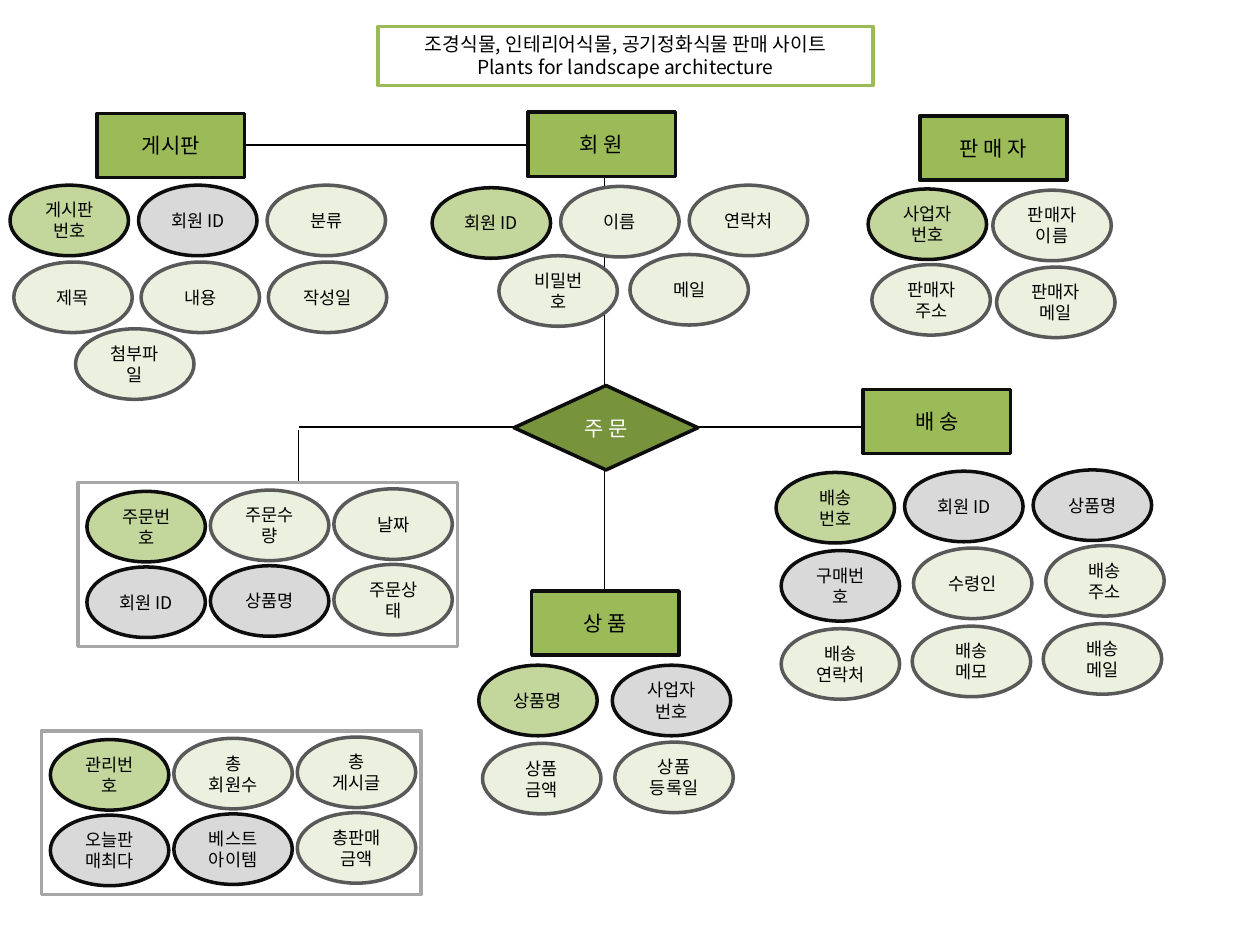
"""Build the entity-relationship slide for a plant shop site."""
from pptx import Presentation
from pptx.dml.color import RGBColor
from pptx.enum.shapes import MSO_CONNECTOR as Connector, MSO_SHAPE as Shape
from pptx.enum.text import MSO_ANCHOR as Anchor, MSO_AUTO_SIZE as AutoSize, PP_ALIGN as Align
from pptx.oxml.ns import qn
from pptx.util import Inches, Pt

THEME = {
    "font": "Noto Sans CJK KR",
    "border": 2,
    "wire": ("000000", 0.75),
    "banner": {"fill": "FFFFFF", "line": "9BBB59", "size": 11, "ink": "000000"},
    "frame": {"fill": "FFFFFF", "line": "A6A6A6", "size": 10, "ink": "000000"},
    "entity": {"fill": "9BBB59", "line": "0D0D0D", "size": 12, "ink": "000000"},
    "relation": {"fill": "77933C", "line": "0D0D0D", "size": 12, "ink": "FFFFFF"},
    "key": {"fill": "C3D69B", "line": "0D0D0D", "size": 10, "ink": "000000"},
    "foreign": {"fill": "D9D9D9", "line": "0D0D0D", "size": 10, "ink": "000000"},
    "plain": {"fill": "EBF1DE", "line": "595959", "size": 10, "ink": "000000"},
}
MARKS = {"*": "key", "+": "foreign"}
ENTITY_SIZE = (1.17, 0.51)
OVAL_SIZE = (0.94, 0.56)
FRAME_SIZE = (3.01, 1.3)
FRAME_PADDING = (0.07, 0.07)
FRAME_STEP = (0.98, 0.6)

BANNER = "조경식물, 인테리어식물, 공기정화식물 판매 사이트\nPlants for landscape architecture"
WIRES = [
    (7.28, 3.39, 2.37, 3.39),
    (5.33, 1.15, 1.68, 1.15),
    (4.8, 1.15, 4.8, 4.88),
    (2.37, 3.41, 2.37, 3.83),
]
ENTITIES = [
    ("게시판", 0.77, 0.9),
    ("회 원", 4.19, 0.89),
    ("판 매 자", 7.3, 0.92),
    ("배 송", 6.85, 3.09),
    ("상 품", 4.22, 4.69),
]
# Each row: left, top, step across, step down, attributes (* key, + foreign key)
ATTRIBUTE_ROWS = [
    (0.08, 1.47, 1.02, 0, ["*게시판번호", "+회원 ID", "분류"]),
    (0.11, 2.08, 1.01, 0, ["제목", "내용", "작성일"]),
    (0.6, 2.61, 0, 0, ["첨부파일"]),
    (3.43, 1.49, 1.02, -0.01, ["*회원 ID", "이름", "연락처"]),
    (3.96, 2.03, 1.04, -0.01, ["비밀번호", "메일"]),
    (6.89, 1.5, 0.99, 0.01, ["*사업자 번호", "판매자 이름"]),
    (6.92, 2.1, 0.99, 0.02, ["판매자 주소", "판매자 메일"]),
    (6.16, 3.75, 1.02, -0.01, ["*배송\n번호", "+회원 ID", "+상품명"]),
    (6.2, 4.37, 1.05, -0.02, ["+구매번호", "수령인", "배송\n주소"]),
    (6.2, 4.99, 1.04, -0.02, ["배송\n연락처", "배송\n메모", "배송\n메일"]),
    (3.8, 5.28, 1.06, 0, ["*상품명", "+사업자 번호"]),
    (3.83, 5.9, 1.05, -0.01, ["상품\n금액", "상품\n등록일"]),
]
FRAMES = [
    (0.62, 3.83, [["*주문번호", "주문수량", "날짜"], ["+회원 ID", "+상품명", "주문상태"]]),
    (0.33, 5.8, [["*관리번호", "총\n회원수", "총\n게시글"],
                 ["+오늘판매최다", "+베스트아이템", "총판매금액"]]),
]


def add_block(page, preset, box, style, text=""):
    look = THEME[style]
    block = page.shapes.add_shape(preset, *map(Inches, box))
    block.shadow.inherit = False
    block.fill.solid()
    block.fill.fore_color.rgb = RGBColor.from_string(look["fill"])
    block.line.color.rgb = RGBColor.from_string(look["line"])
    block.line.width = Pt(THEME["border"])
    frame = block.text_frame
    for name, value in {"word_wrap": True, "vertical_anchor": Anchor.MIDDLE}.items():
        setattr(frame, name, value)
    for index, line in enumerate(text.split("\n") if text else []):
        para = frame.add_paragraph() if index else frame.paragraphs[0]
        para.alignment = Align.CENTER
        span = para.add_run()
        span.text = line
        for name, value in {"size": Pt(look["size"]), "name": THEME["font"]}.items():
            setattr(span.font, name, value)
        span.font.color.rgb = RGBColor.from_string(look["ink"])
        east_asian = span.font._element.makeelement(qn("a:ea"), {"typeface": THEME["font"]})
        span.font._element.find(qn("a:latin")).addnext(east_asian)
    return block


def add_wire(page, ends):
    color, width = THEME["wire"]
    wire = page.shapes.add_connector(Connector.STRAIGHT, *map(Inches, ends))
    wire.line.color.rgb = RGBColor.from_string(color)
    wire.line.width = Pt(width)
    properties = wire._element.spPr
    properties.append(properties.makeelement(qn("a:effectLst"), {}))


def add_attributes(page, left, top, across, down, labels):
    for index, label in enumerate(labels):
        spot = (left + index * across, top + index * down)
        style = MARKS.get(label[0], "plain")
        add_block(page, Shape.OVAL, spot + OVAL_SIZE, style, label.lstrip("*+"))


deck = Presentation()
deck.slide_width, deck.slide_height = Inches(10), Inches(7.5)
page = deck.slides.add_slide(deck.slide_layouts[6])

for ends in WIRES:
    add_wire(page, ends)

banner = add_block(page, Shape.RECTANGLE, (3, 0.21, 3.93, 0.47), "banner", BANNER)
banner.text_frame.vertical_anchor = Anchor.TOP
banner.text_frame.auto_size = AutoSize.SHAPE_TO_FIT_TEXT

for name, left, top in ENTITIES:
    add_block(page, Shape.RECTANGLE, (left, top) + ENTITY_SIZE, "entity", name)
add_block(page, Shape.DIAMOND, (4.08, 3.06, 1.46, 0.67), "relation", "주 문")

for row in ATTRIBUTE_ROWS:
    add_attributes(page, *row)

for left, top, rows in FRAMES:
    add_block(page, Shape.RECTANGLE, (left, top) + FRAME_SIZE, "frame")
    for index, labels in enumerate(rows):
        row_top = top + FRAME_PADDING[1] + index * FRAME_STEP[1]
        add_attributes(page, left + FRAME_PADDING[0], row_top, FRAME_STEP[0], -0.01, labels)

deck.save("out.pptx")
